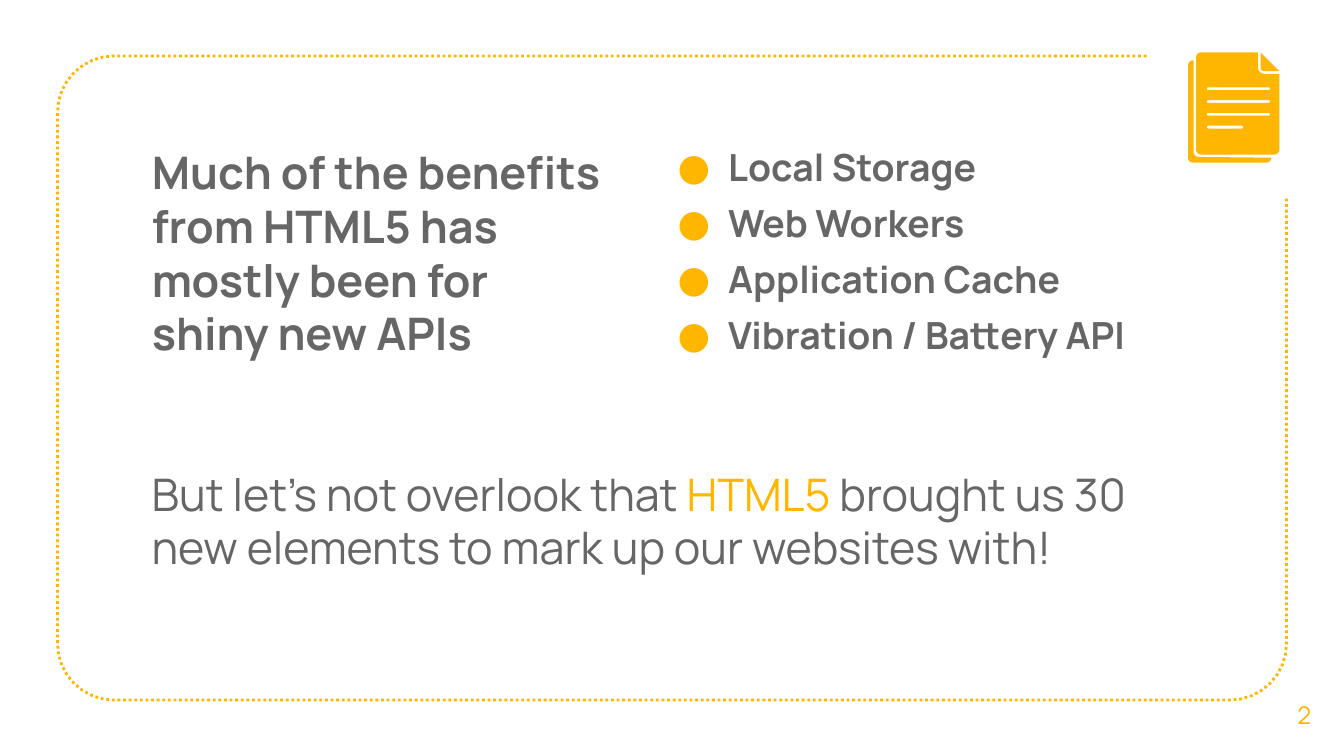
import math
from dataclasses import dataclass

import pptx
import pptx.dml.color
import pptx.enum.dml
import pptx.enum.text
import pptx.oxml
import pptx.oxml.ns
import pptx.util

Pt = pptx.util.Pt
ALIGN = pptx.enum.text.PP_ALIGN
ANCHOR = pptx.enum.text.MSO_ANCHOR


@dataclass(frozen=True)
class Theme:
    font: str = "Manrope"
    accent: str = "FFB600"
    text: str = "666666"
    lead: int = 24
    item: int = 20
    number: int = 13
    inset: float = 7.2
    gap: int = 6


THEME = Theme()


def rgb(color):
    return pptx.dml.color.RGBColor.from_string(color)


def arc(cx, cy, radius, start, end, steps=8):
    angles = [math.radians(start + (end - start) * i / steps) for i in range(steps + 1)]
    return [(cx + radius * math.cos(a), cy + radius * math.sin(a)) for a in angles]


def slot(left, top, right, height):
    r = height / 2
    return arc(left + r, top + r, r, 90, 270) + arc(right - r, top + r, r, -90, 90)


def add_outline(shapes, contours, close=True):
    builder = None
    for contour in contours:
        points = [(Pt(x), Pt(y)) for x, y in contour]
        if builder is None:
            builder = shapes.build_freeform(*points[0], scale=1.0)
        else:
            builder.move_to(*points[0])
        builder.add_line_segments(points[1:], close=close)
    sp = builder.convert_to_shape()
    sp.shadow.inherit = False
    return sp


def add_solid(shapes, contours):
    sp = add_outline(shapes, contours)
    sp.fill.solid()
    sp.fill.fore_color.rgb = rgb(THEME.accent)
    sp.line.fill.background()


def add_frame(s):
    left, top, right, bottom, r = 30.8, 30, 689.2, 375.1, 30.3
    points = [(614.2, top)]
    points += arc(left + r, top + r, r, 270, 180)
    points += arc(left + r, bottom - r, r, 180, 90)
    points += arc(right - r, bottom - r, r, 90, 0)
    points += [(right, 105.1)]
    sp = add_outline(s.shapes, [points], close=False)
    sp.fill.background()
    sp.line.color.rgb = rgb(THEME.accent)
    sp.line.width = Pt(1.5)
    sp.line.dash_style = pptx.enum.dml.MSO_LINE.ROUND_DOT


def add_document_icon(s):
    shapes = s.shapes.add_group_shape().shapes
    left, top, right, bottom, r = 640.8, 28.1, 685.4, 82.8, 2.6
    shift, fold, step = 4.3, 11.5, 6.87

    back_left, back_bottom = left - shift, bottom + shift
    back_right = right - shift
    back = arc(back_left + r, top + shift + r, r, 270, 180)
    back += arc(back_left + r, back_bottom - r, r, 180, 90)
    back += arc(back_right - r, back_bottom - r, r, 90, 0)
    back += arc(back_left + 3 + r, back_bottom - 3 - r, r, 90, 180)
    back += [(back_left + 3, top + shift)]
    add_solid(shapes, [back])

    front = arc(left + r, top + r, r, 270, 180)
    front += arc(left + r, bottom - r, r, 180, 90)
    front += arc(right - r, bottom - r, r, 90, 0)
    front += [(right, top + fold)]
    front += arc(right - fold + 3.5, top + fold - 3.5, 3.5, 90, 180)
    front += [(right - fold, top)]
    ends = [680.4, 680.4, 680.4, 666]
    lines = [slot(646.5, 46.8 + i * step, end, 1.5) for i, end in enumerate(ends)]
    add_solid(shapes, lines + [front])

    corner_left, corner_bottom = right - 10.1, top + 10.1
    corner = [(corner_left, top)]
    corner += arc(corner_left + 2, corner_bottom - 2, 2, 180, 90)
    corner += [(right, corner_bottom)]
    add_solid(shapes, [corner])


def add_bullet(p):
    pPr = p._p.get_or_add_pPr()
    pPr.set("marL", str(Pt(36)))
    pPr.set("indent", str(-Pt(27)))
    ns = pptx.oxml.ns.nsdecls("a")
    for xml in (
        f'<a:buClr {ns}><a:srgbClr val="{THEME.accent}"/></a:buClr>',
        f'<a:buFont {ns} typeface="{THEME.font}"/>',
        f'<a:buChar {ns} char="●"/>',
    ):
        pPr.append(pptx.oxml.parse_xml(xml))


def add_text(s, box, paragraphs, size, bold=False, bullets=False,
             align=ALIGN.LEFT, anchor=ANCHOR.TOP, gap=THEME.gap):
    tf = s.shapes.add_textbox(*map(Pt, box)).text_frame
    tf.word_wrap = True
    tf.vertical_anchor = anchor
    tf.margin_left = tf.margin_right = Pt(THEME.inset)
    tf.margin_top = tf.margin_bottom = Pt(THEME.inset)
    for i, runs in enumerate(paragraphs):
        p = tf.paragraphs[0] if i == 0 else tf.add_paragraph()
        p.alignment = align
        p.space_before = Pt(gap)
        if bullets:
            add_bullet(p)
        for text, color in runs:
            r = p.add_run()
            r.text = text
            r.font.name = THEME.font
            r.font.size = Pt(size)
            r.font.bold = bold
            r.font.color.rgb = rgb(color)


def main():
    prs = pptx.Presentation()
    prs.slide_width, prs.slide_height = Pt(720), Pt(405)
    s = prs.slides.add_slide(prs.slide_layouts[6])

    add_frame(s)
    lead = "Much of the benefits from HTML5 has mostly been for shiny new APIs"
    add_text(s, (74.2, 70.4, 262, 150.5), [[(lead, THEME.text)]], THEME.lead, bold=True)
    add_text(s, (677.5, 361.4, 42.5, 43.2), [[("2", THEME.accent)]], THEME.number,
             align=ALIGN.CENTER, anchor=ANCHOR.MIDDLE, gap=0)
    add_document_icon(s)

    apis = ["Local Storage", "Web Workers", "Application Cache", "Vibration / Battery API"]
    add_text(s, (347, 70, 279.4, 150.5), [[(api, THEME.text)] for api in apis],
             THEME.item, bold=True, bullets=True)
    closing = [
        ("But let’s not overlook that ", THEME.text),
        ("HTML5 ", THEME.accent),
        ("brought us 30 new elements to mark up our websites with!", THEME.text),
    ]
    add_text(s, (74.2, 242.6, 566.6, 87.1), [closing], THEME.lead)

    prs.save("out.pptx")


if __name__ == "__main__":
    main()
